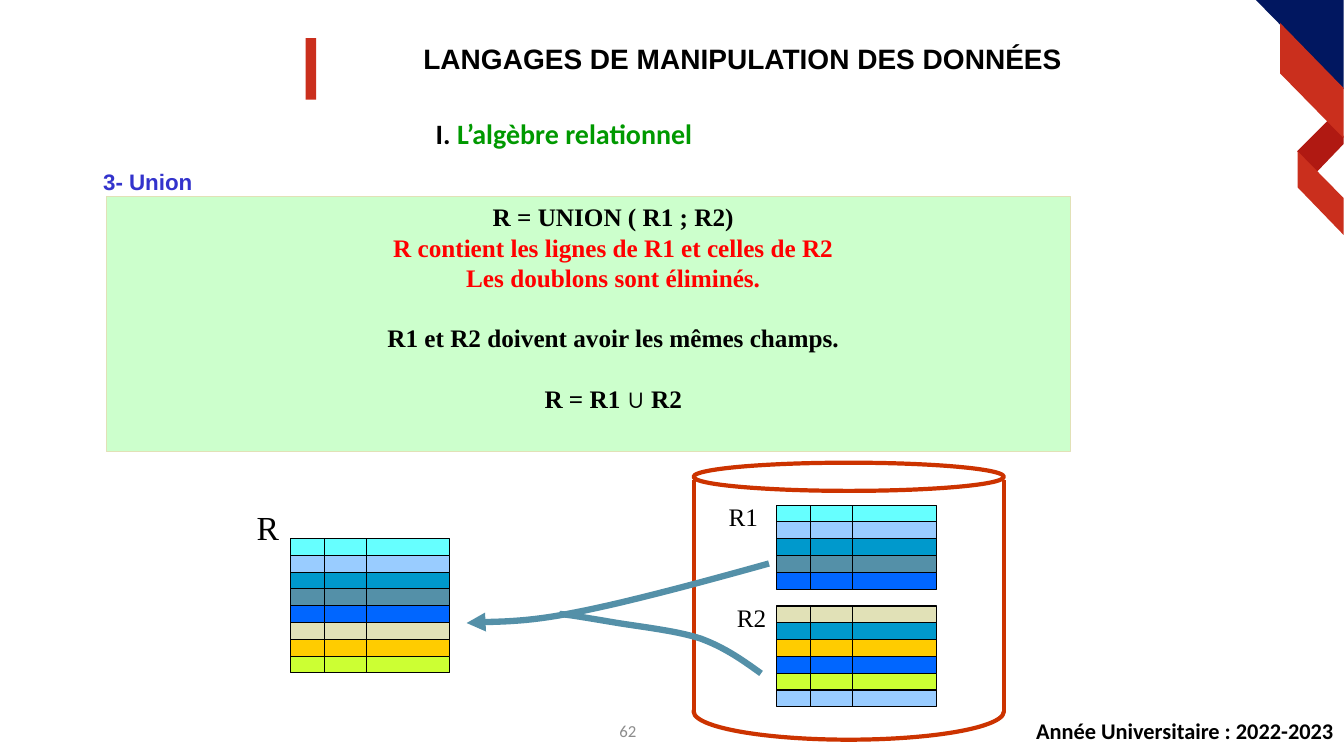
from itertools import accumulate

from lxml import etree
from pptx import Presentation
from pptx import util as u
from pptx.dml.color import RGBColor
from pptx.enum import shapes, text
from pptx.oxml.ns import qn

BLACK = RGBColor(0x00, 0x00, 0x00)
WHITE = RGBColor(0xFF, 0xFF, 0xFF)
GREY = RGBColor(0x8C, 0x8C, 0x8C)
NAVY = RGBColor(0x01, 0x17, 0x60)
RED = RGBColor(0xCA, 0x2F, 0x1D)
DARK_RED = RGBColor(0xB0, 0x19, 0x12)
BRIGHT_RED = RGBColor(0xFF, 0x00, 0x00)
GREEN = RGBColor(0x00, 0x99, 0x00)
INDIGO = RGBColor(0x33, 0x33, 0xCC)
PALE_GREEN = RGBColor(0xCC, 0xFF, 0xCC)
RUST = RGBColor(0xCC, 0x33, 0x00)
# Colours of the relation rows
CYAN = RGBColor(0x66, 0xFF, 0xFF)
SKY = RGBColor(0x99, 0xCC, 0xFF)
TEAL = RGBColor(0x00, 0x99, 0xCC)
STEEL = RGBColor(0x54, 0x90, 0xA8)
BLUE = RGBColor(0x00, 0x66, 0xFF)
SAND = RGBColor(0xE1, 0xE1, 0xB7)
AMBER = RGBColor(0xFF, 0xCC, 0x00)
LIME = RGBColor(0xCC, 0xFF, 0x33)

SERIF = "Times New Roman"
LEFT, CENTER, RIGHT = text.PP_ALIGN.LEFT, text.PP_ALIGN.CENTER, text.PP_ALIGN.RIGHT
RECT, OVAL = shapes.MSO_SHAPE.RECTANGLE, shapes.MSO_SHAPE.OVAL
COLUMNS = (0.85, 1.06, 2.11)
ROW = 1.27 / 3

# Corner ribbon, from back to front (cm)
RIBBON = [
    (DARK_RED, [(33.5, 3), (33.86, 3.43), (33.86, 3.63), (33.15, 4.37), (32.69, 3.81)]),
    (NAVY, [(31.65, 0), (33.86, 0), (33.86, 2.25)]),
    (RED, [(32.7, 3.81), (33.86, 4.99), (33.86, 5.92), (32.7, 4.72)]),
    (RED, [(32.26, 0.58), (33.86, 2.22), (33.86, 3.48), (32.26, 1.85)]),
]
# Bezier points of the two flows: start, then three for each segment (cm)
R1_FLOW = [(19.38, 14.2), (17.48, 14.73), (15.57, 15.24), (14.3, 15.47),
           (13.03, 15.72), (12.19, 15.65), (11.76, 15.7)]
R2_FLOW = [(19.18, 16.97), (18.72, 16.64), (18.29, 16.33), (17.68, 16.1),
           (17.09, 15.9), (16.18, 15.8), (15.57, 15.7),
           (14.96, 15.6), (14.53, 15.52), (14.1, 15.47)]
# Name, size, left and top of the label, left and top of the rows, row colours
RELATIONS = [
    ("R", 24, (6.47, 12.78), (7.32, 13.57),
     (CYAN, SKY, TEAL, STEEL, BLUE, SAND, AMBER, LIME)),
    ("R1", 18, (18.36, 12.65), (19.58, 12.73), (CYAN, SKY, TEAL, STEEL, BLUE)),
    ("R2", 18, (18.57, 15.19), (19.58, 15.27), (SAND, TEAL, AMBER, BLUE, LIME, SKY)),
]


def place(shape, left, top, width, height):
    shape.left, shape.top = u.Cm(left), u.Cm(top)
    shape.width, shape.height = u.Cm(width), u.Cm(height)


def style(span, font, size, color, bold=False):
    span.font.name, span.font.size = font, u.Pt(size)
    span.font.color.rgb, span.font.bold = color, bold


def fit_frame(box, anchor=text.MSO_ANCHOR.MIDDLE):
    frame = box.text_frame
    frame.word_wrap, frame.vertical_anchor = True, anchor
    frame.auto_size = text.MSO_AUTO_SIZE.NONE
    frame.margin_left = frame.margin_right = u.Cm(0)
    frame.margin_top = frame.margin_bottom = u.Cm(0)
    return frame


def add_label(page, words, area, font, size, color, bold=False, align=LEFT):
    box = page.shapes.add_textbox(*map(u.Cm, area))
    frame = fit_frame(box)
    frame.text = words
    para = frame.paragraphs[0]
    para.alignment = align
    style(para.runs[0], font, size, color, bold)


def paint(shape, fill=None, line=None, width=0.75):
    shape.shadow.inherit = False
    if fill is None:
        shape.fill.background()
    else:
        shape.fill.solid()
        shape.fill.fore_color.rgb = fill
    if line is None:
        shape.line.fill.background()
    else:
        shape.line.color.rgb, shape.line.width = line, u.Pt(width)


def add_figure(page, kind, area, fill, line=None, width=0.75):
    shape = page.shapes.add_shape(kind, *map(u.Cm, area))
    paint(shape, fill, line, width)
    return shape


def add_outline(page, points, closed):
    points = [(u.Cm(x), u.Cm(y)) for x, y in points]
    builder = page.shapes.build_freeform(*points[0])
    builder.add_line_segments(points[1:], close=closed)
    return builder.convert_to_shape()


def bezier(points, steps=16):
    curve = [points[0]]
    for first in range(0, len(points) - 1, 3):
        corners = points[first:first + 4]
        for step in range(1, steps + 1):
            t = step / steps
            weights = ((1 - t) ** 3, 3 * t * (1 - t) ** 2, 3 * t * t * (1 - t), t ** 3)
            curve.append(tuple(sum(w * c[axis] for w, c in zip(weights, corners))
                               for axis in (0, 1)))
    return curve


def add_flow(page, points, arrow=False):
    flow = add_outline(page, bezier(points), closed=False)
    paint(flow, line=STEEL, width=4.5)
    if arrow:
        line = flow._element.spPr.find(qn("a:ln"))
        etree.SubElement(line, qn("a:tailEnd"), type="triangle")


def add_upright(page, x, top, bottom, color, width):
    upright = page.shapes.add_connector(shapes.MSO_CONNECTOR.STRAIGHT,
                                        u.Cm(x), u.Cm(top), u.Cm(x), u.Cm(bottom))
    upright.line.color.rgb, upright.line.width = color, u.Pt(width)
    etree.SubElement(upright._element.spPr, qn("a:effectLst"))


def add_cylinder(page, left=17.48, width=7.82):
    add_figure(page, OVAL, (left, 17.22, width, 1.42), WHITE, RUST, 3)
    add_figure(page, RECT, (left, 16.94, width, 0.99), WHITE)
    add_figure(page, OVAL, (left, 11.66, width, 0.71), WHITE, RUST, 3)
    for x in (left, left + width):
        add_upright(page, x, 12.09, 17.93, RUST, 3)


def add_relation(page, left, top, colors):
    # Pictogram of a relation: coloured bars, each cut by two dividers
    for index, color in enumerate(colors):
        y = top + index * ROW
        add_figure(page, RECT, (left, y, sum(COLUMNS), ROW), color, BLACK)
        for offset in accumulate(COLUMNS[:-1]):
            add_upright(page, left + offset, y, y + ROW, BLACK, 0.75)


def add_headings(page):
    title, body = page.shapes.title, page.placeholders[1]
    place(title, 8.68, 0.57, 20.07, 1.8)
    frame = fit_frame(title)
    frame.text = "LANGAGES DE MANIPULATION DES DONNÉES"
    frame.paragraphs[0].alignment = CENTER
    style(frame.paragraphs[0].runs[0], "Arial", 20, BLACK, True)

    place(body, 10.98, 2.92, 12, 0.9)
    para = fit_frame(body).paragraphs[0]
    props = para._p.get_or_add_pPr()
    props.set("marL", "0")
    props.set("indent", "0")
    etree.SubElement(props, qn("a:buNone"))
    para.space_before = u.Pt(0)
    for words, color in (("I. ", BLACK), ("L’algèbre relationnel", GREEN)):
        span = para.add_run()
        span.text = words
        style(span, "Calibri", 20, color, True)


def add_definition(page):
    box = add_figure(page, RECT, (2.69, 4.95, 24.28, 6.43), PALE_GREEN, SAND)
    frame = fit_frame(box, text.MSO_ANCHOR.TOP)
    frame.margin_left, frame.margin_top = u.Cm(1.25), u.Cm(0.13)
    lines = [("R = UNION ( R1 ; R2)", BLACK, 0),
             ("R contient les lignes de R1 et celles de R2", BRIGHT_RED, 0),
             ("Les doublons sont éliminés.", BRIGHT_RED, 0),
             ("R1 et R2 doivent avoir les mêmes champs.", BLACK, 21.6),
             ("R = R1 ∪ R2", BLACK, 21.6)]
    frame.text = "\n".join(words for words, _, _ in lines)
    for para, (words, color, gap) in zip(frame.paragraphs, lines):
        para.alignment, para.line_spacing = CENTER, u.Pt(21.6)
        para.space_before = u.Pt(gap)
        before, union, after = words.partition("∪")
        para.runs[0].text = before
        for part in filter(None, (union, after)):
            para.add_run().text = part
        for span in para.runs:
            style(span, "Arial" if span.text == "∪" else SERIF, 18, color, True)


def main():
    deck = Presentation()
    deck.slide_width, deck.slide_height = u.Cm(33.87), u.Cm(19.05)
    page = deck.slides.add_slide(deck.slide_layouts[1])

    # Decoration
    for color, points in RIBBON:
        paint(add_outline(page, points, closed=True), color)
    add_figure(page, RECT, (7.7, 0.96, 0.27, 1.55), RED)

    # Headings and definition
    add_headings(page)
    add_label(page, "3- Union", (2.6, 4.19, 12, 0.76), "Arial", 16, INDIGO, True)
    add_definition(page)

    # Database with the source relations and the result
    add_cylinder(page)
    for name, size, label, corner, colors in RELATIONS:
        add_relation(page, *corner, colors)
        add_label(page, name, (*label, 1.2, size / 24), SERIF, size, BLACK)
    add_flow(page, R1_FLOW, arrow=True)
    add_flow(page, R2_FLOW)

    # Footer
    add_label(page, "62", (8.67, 17.91, 7.37, 1.02), "Calibri", 12, GREY, align=RIGHT)
    add_label(page, "Année Universitaire : 2022-2023", (23.61, 18.05, 10, 0.7),
              "Calibri", 16, BLACK, True, RIGHT)
    deck.save("out.pptx")


if __name__ == "__main__":
    main()
